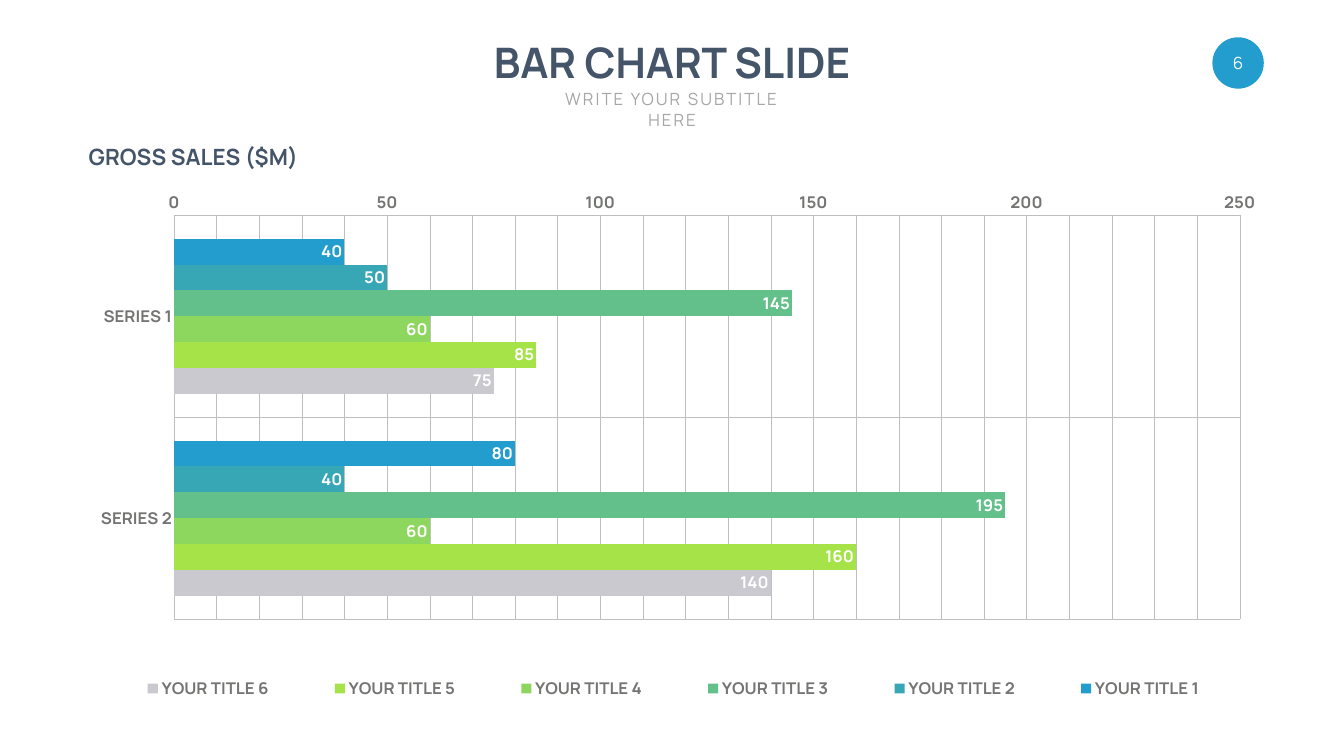
import copy

from lxml import etree
from pptx import Presentation
from pptx import util as u
from pptx.chart import data
from pptx.dml import color
from pptx.enum import chart as kinds, shapes, text
from pptx.oxml import ns

FONT = "Manrope"


def paint(target, colour):
    """Set a fill, or a line or font that owns one, to a solid hex colour."""
    fill = target if hasattr(target, "solid") else target.fill
    fill.solid()
    fill.fore_color.rgb = color.RGBColor.from_string(colour)


def set_layout(parent, position, **values):
    """Place a chart part by fractions of the chart area."""
    for old in parent.findall(ns.qn("c:layout")):
        parent.remove(old)
    layout = etree.Element(ns.qn("c:layout"))
    manual = etree.SubElement(layout, ns.qn("c:manualLayout"))
    for name, value in values.items():
        etree.SubElement(manual, ns.qn("c:" + name)).set("val", str(value))
    parent.insert(position, layout)


presentation = Presentation()
presentation.slide_width, presentation.slide_height = u.Cm(67.72), u.Cm(38.1)
slide = presentation.slides.add_slide(presentation.slide_layouts[6])

# Page number disc
disc = slide.shapes.add_shape(
    shapes.MSO_SHAPE.OVAL, u.Cm(61.09), u.Cm(1.88), u.Cm(2.59), u.Cm(2.59))
disc.shadow.inherit = False
paint(disc.fill, "229DCE")
disc.line.fill.background()
frame = disc.text_frame
for side in ("left", "top", "right", "bottom"):
    setattr(frame, "margin_" + side, 0)
frame.vertical_anchor = text.MSO_ANCHOR.MIDDLE
paragraph = frame.paragraphs[0]
paragraph.text = "6"
paragraph.alignment = text.PP_ALIGN.CENTER
number_format = {"name": FONT, "size": u.Pt(24)}
for name, value in number_format.items():
    setattr(paragraph.font, name, value)
paint(paragraph.font, "FFFFFF")

# Headings: wording, box in cm, size, colour, bold, alignment, wrap, spacing
CENTER, LEFT = text.PP_ALIGN.CENTER, text.PP_ALIGN.LEFT
headings = [
    ("BAR CHART SLIDE", (24.41, 1.7, 18.9, 2.82), 60, "445469", True, CENTER, False, 0),
    ("WRITE YOUR SUBTITLE HERE", (26.97, 4.37, 13.79, 1.27), 24, "A6A6A6", False, CENTER, True, 300),
    ("GROSS SALES ($M)", (4.22, 7.09, 11.18, 1.63), 32, "445469", True, LEFT, False, 0),
]
for wording, box, size, colour, bold, alignment, wrap, spacing in headings:
    shape = slide.shapes.add_textbox(*map(u.Cm, box))
    shape.text_frame.word_wrap = wrap
    paragraph = shape.text_frame.paragraphs[0]
    paragraph.alignment = alignment
    run = paragraph.add_run()
    run.text = wording
    heading_format = {"name": FONT, "size": u.Pt(size), "bold": bold}
    for name, value in heading_format.items():
        setattr(run.font, name, value)
    paint(run.font, colour)
    if spacing:
        run._r.get_or_add_rPr().set("spc", str(spacing))

# Bar chart
sales = [
    ("229DCE", (40, 80)),
    ("37A7B6", (50, 40)),
    ("63C08A", (145, 195)),
    ("8ED75E", (60, 60)),
    ("A5E348", (85, 160)),
    ("CAC9D0", (75, 140)),
]
chart_data = data.CategoryChartData()
chart_data.categories = ["SERIES 1", "SERIES 2"]
for index, (colour, values) in enumerate(sales, 1):
    chart_data.add_series(f"YOUR TITLE {index}", values)
chart = slide.shapes.add_chart(
    kinds.XL_CHART_TYPE.BAR_CLUSTERED,
    u.Cm(4.39), u.Cm(9.63), u.Cm(59.08), u.Cm(26.34), chart_data).chart
chart.has_title = False
chart.font.name, chart.font.size = "Calibri", u.Pt(10)
paint(chart.font, "737572")
plot = chart.plots[0]
plot.gap_width = 182
plot.vary_by_categories = False
set_layout(chart._chartSpace.chart.plotArea, 0, layoutTarget="inner",
           xMode="edge", yMode="edge", x=0.074, y=0.01, w=0.909, h=0.802)

# Legend across the bottom
chart.has_legend = True
legend = chart.legend
legend.position = kinds.XL_LEGEND_POSITION.BOTTOM
legend.include_in_layout = False
set_layout(legend._element, 1, xMode="edge", yMode="edge", x=0, y=0.9, w=1, h=0.1)

# Axes: first category on top, value scale at the bottom
category_axis, value_axis = chart.category_axis, chart.value_axis
category_axis.reverse_order = True
category_axis.crosses = kinds.XL_AXIS_CROSSES.MAXIMUM
scale = {"minimum_scale": 0, "maximum_scale": 250, "major_unit": 50,
         "minor_unit": 10, "has_minor_gridlines": True}
for name, value in scale.items():
    setattr(value_axis, name, value)
for axis in (category_axis, value_axis):
    axis.has_major_gridlines = True
    axis.major_tick_mark = axis.minor_tick_mark = kinds.XL_TICK_MARK.NONE
    axis.format.line.fill.background()
    gridline = axis.major_gridlines.format.line
    paint(gridline, "BFBFBF")
    gridline.width = u.Pt(0.25)

# Minor gridlines share the look of the major ones
major, minor = (value_axis._element.find(ns.qn(f"c:{level}Gridlines"))
                for level in ("major", "minor"))
minor.append(copy.deepcopy(major.find(ns.qn("c:spPr"))))

# Series colours and value labels
chart_fonts = [(part.font, "737572")
               for part in (legend, category_axis.tick_labels, value_axis.tick_labels)]
for series, (colour, values) in zip(plot.series, sales):
    paint(series.format.fill, colour)
    series.invert_if_negative = False
    labels = series.data_labels
    labels.show_value = True
    labels.position = kinds.XL_LABEL_POSITION.INSIDE_END
    chart_fonts.append((labels.font, "FFFFFF"))

label_format = {"name": FONT, "size": u.Pt(24), "bold": True}
for font, colour in chart_fonts:
    for name, value in label_format.items():
        setattr(font, name, value)
    paint(font, colour)

presentation.save("out.pptx")
